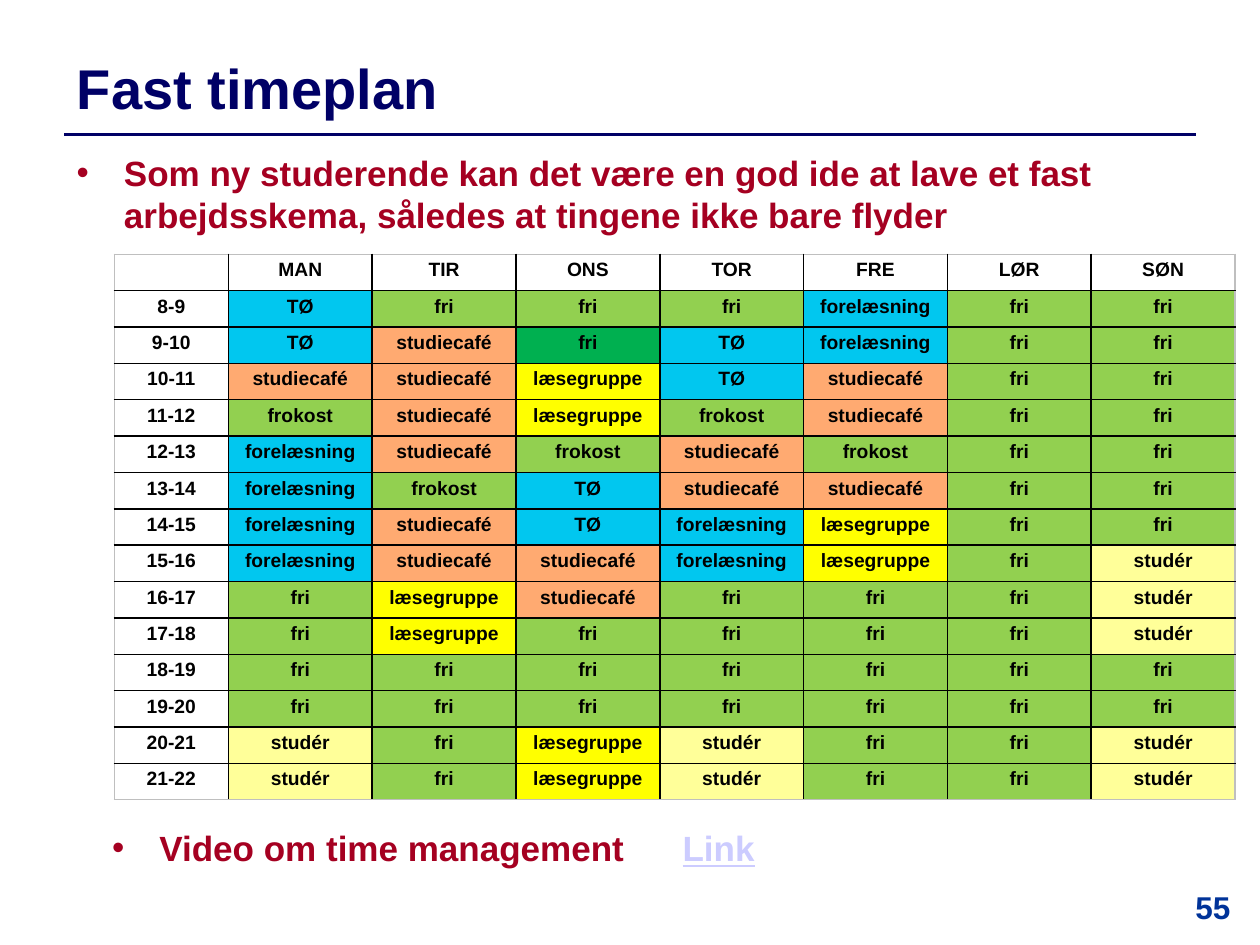
from lxml import etree
from pptx import Presentation
from pptx.dml.color import RGBColor
from pptx.enum.shapes import MSO_CONNECTOR
from pptx.enum.text import MSO_ANCHOR, PP_ALIGN
from pptx.oxml.ns import qn
from pptx.util import Pt

STRAIGHT = MSO_CONNECTOR.STRAIGHT
MIDDLE = MSO_ANCHOR.MIDDLE
LEFT, CENTER = PP_ALIGN.LEFT, PP_ALIGN.CENTER

COLORS = {
    "title": "000066", "body": "A50021", "link": "CCCCFF", "number": "003399",
    "text": "000000", "grid": "000000", "frame": "BFBFBF", "white": "FFFFFF",
    "teaching": "01C7EF", "free": "92D050", "cafe": "FFAA71",
    "group": "FFFF00", "study": "FFFF99", "break": "00B050",
}
ACTIVITIES = {
    "TØ": "teaching", "forelæsning": "teaching", "fri": "free", "frokost": "free",
    "studiecafé": "cafe", "læsegruppe": "group", "studér": "study",
}
DAYS = ["", "MAN", "TIR", "ONS", "TOR", "FRE", "LØR", "SØN"]
SCHEDULE = """
TØ fri fri fri forelæsning fri fri
TØ studiecafé fri TØ forelæsning fri fri
studiecafé studiecafé læsegruppe TØ studiecafé fri fri
frokost studiecafé læsegruppe frokost studiecafé fri fri
forelæsning studiecafé frokost studiecafé frokost fri fri
forelæsning frokost TØ studiecafé studiecafé fri fri
forelæsning studiecafé TØ forelæsning læsegruppe fri fri
forelæsning studiecafé studiecafé forelæsning læsegruppe fri studér
fri læsegruppe studiecafé fri fri fri studér
fri læsegruppe fri fri fri fri studér
fri fri fri fri fri fri fri
fri fri fri fri fri fri fri
studér fri læsegruppe studér fri fri studér
studér fri læsegruppe studér fri fri studér
"""
FIRST_HOUR = 8
BREAK_CELL = (2, 3)


def rgb(name):
    return RGBColor.from_string(COLORS[name])


class SlideBuilder:
    font = "Arial"

    def __init__(self, slide):
        self.s = slide

    def run(self, p, text, size, color, **extra):
        r = p.add_run()
        r.text = text
        style = {"name": self.font, "size": Pt(size), "bold": True, **extra}
        for key, value in style.items():
            setattr(r.font, key, value)
        r.font.color.rgb = rgb(color)

    def place(self, sp, box):
        for key, value in zip(("left", "top", "width", "height"), box):
            setattr(sp, key, Pt(value))

    def title(self, text, box):
        sp = self.s.shapes.title
        self.place(sp, box)
        tf = sp.text_frame
        tf.word_wrap, tf.vertical_anchor = True, MIDDLE
        p = tf.paragraphs[0]
        p.alignment = LEFT
        self.run(p, text, 32, "title")

    def rule(self, x1, x2, y):
        line = self.s.shapes.add_connector(STRAIGHT, Pt(x1), Pt(y), Pt(x2), Pt(y))
        line.line.color.rgb = rgb("title")
        line.line.width = Pt(2)
        etree.SubElement(line._element.spPr, qn("a:effectLst"))

    def text(self, box):
        tf = self.s.shapes.add_textbox(*map(Pt, box)).text_frame
        tf.word_wrap = True
        return tf.paragraphs[0]

    def bullet(self, text, box, link=None, tab=None):
        p = self.text(box)
        pPr = p._p.get_or_add_pPr()
        pPr.set("marL", str(Pt(27)))
        pPr.set("indent", str(-Pt(27)))
        before = etree.SubElement(pPr, qn("a:spcBef"))
        etree.SubElement(before, qn("a:spcPct"), val="20000")
        etree.SubElement(pPr, qn("a:buFont"), typeface=self.font)
        etree.SubElement(pPr, qn("a:buChar"), char="•")
        if link:
            tabs = etree.SubElement(pPr, qn("a:tabLst"))
            etree.SubElement(tabs, qn("a:tab"), pos=str(Pt(tab)), algn="l")
            text += "\t"
        self.run(p, text, 20, "body")
        if link:
            self.run(p, link, 20, "link", underline=True)

    def number(self, text, box):
        p = self.text(box)
        p.alignment = CENTER
        self.run(p, text, 18, "number")

    def border(self, cell, side, color):
        tcPr = cell._tc.get_or_add_tcPr()
        ln = etree.SubElement(tcPr, qn("a:ln" + side), w=str(Pt(1)))
        fill = etree.SubElement(ln, qn("a:solidFill"))
        etree.SubElement(fill, qn("a:srgbClr"), val=COLORS[color])

    def cell(self, cell, text, fill, outer):
        margins = {"margin_left": 7.2, "margin_right": 7.2,
                   "margin_top": 3, "margin_bottom": 3}
        for key, value in margins.items():
            setattr(cell, key, Pt(value))
        for side, at_edge in outer.items():
            self.border(cell, side, "frame" if at_edge else "grid")
        cell.fill.solid()
        cell.fill.fore_color.rgb = rgb(fill)
        p = cell.text_frame.paragraphs[0]
        p.alignment = CENTER
        if text:
            self.run(p, text, 11, "text")
        else:
            etree.SubElement(p._p, qn("a:endParaRPr"), sz="1100")

    def timetable(self, rows, left, top, widths, row_height):
        n_rows, n_cols = len(rows), len(widths)
        frame = self.s.shapes.add_table(n_rows, n_cols, Pt(left), Pt(top),
                                        Pt(sum(widths)), Pt(row_height * n_rows))
        table = frame.table
        table.first_row = table.horz_banding = False
        for column, width in zip(table.columns, widths):
            column.width = Pt(width)
        for i, row in enumerate(rows):
            table.rows[i].height = Pt(row_height)
            for j, text in enumerate(row):
                fill = "break" if (i, j) == BREAK_CELL else ACTIVITIES.get(text, "white")
                outer = {"L": j == 0, "R": j == n_cols - 1,
                         "T": i == 0, "B": i == n_rows - 1}
                self.cell(table.cell(i, j), text, fill, outer)


def main():
    prs = Presentation()
    prs.slide_width, prs.slide_height = Pt(720), Pt(540)
    b = SlideBuilder(prs.slides.add_slide(prs.slide_layouts[5]))
    b.rule(36.75, 683.25, 77)
    b.title("Fast timeplan", (36.75, 26, 646.5, 48))
    b.bullet("Som ny studerende kan det være en god ide at lave et fast "
             "arbejdsskema, således at tingene ikke bare flyder",
             (36.75, 83, 663, 62.5))
    b.number("55", (666, 504, 54, 36))
    rows = [DAYS] + [[f"{hour}-{hour + 1}"] + line.split() for hour, line
                     in enumerate(SCHEDULE.strip().splitlines(), FIRST_HOUR)]
    b.timetable(rows, 65.3, 145.3, [65.2] + [82.2] * 7, 20.8)
    b.bullet("Video om time management", (57, 469, 592, 39.5), link="Link", tab=326)
    prs.save("out.pptx")


if __name__ == "__main__":
    main()
